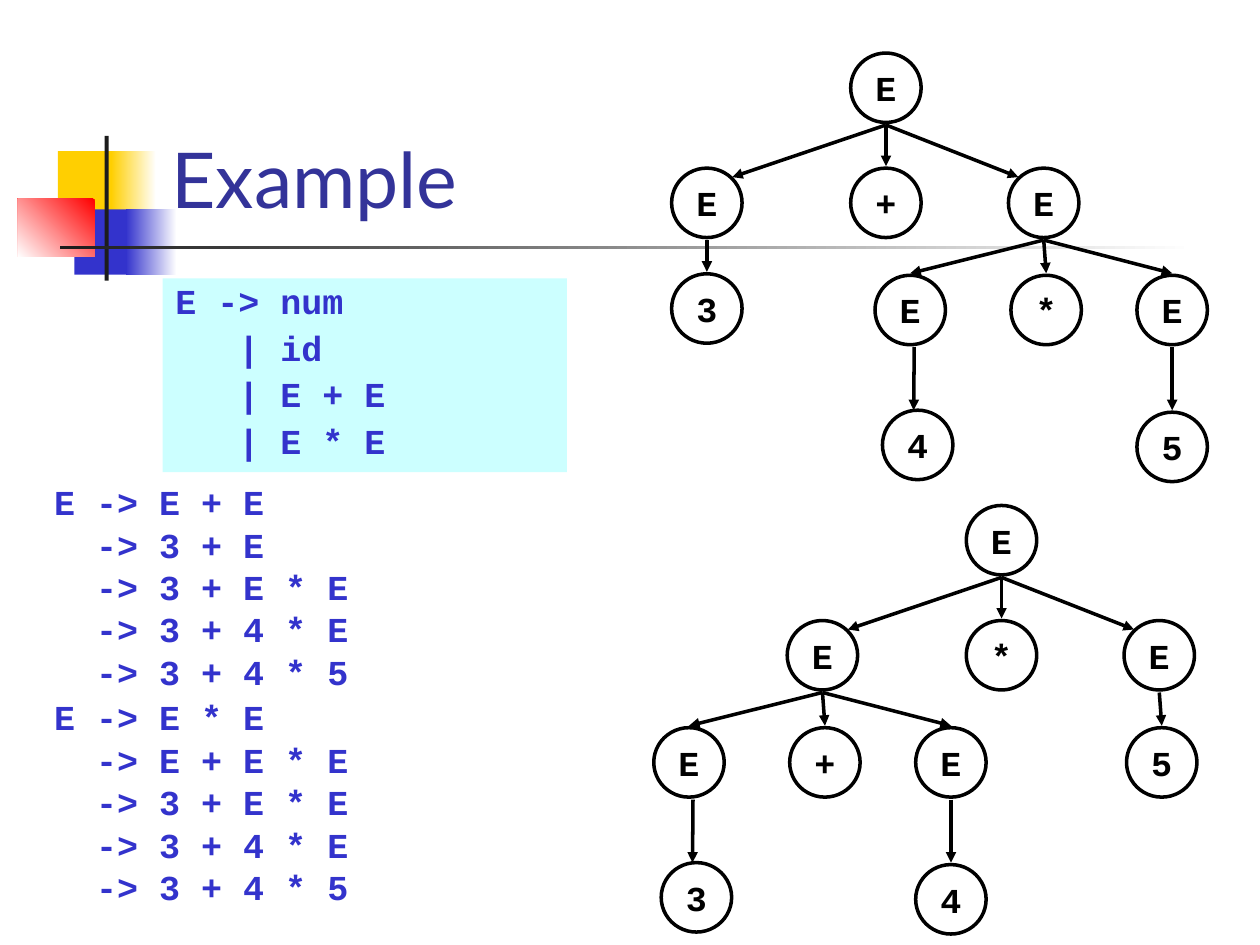
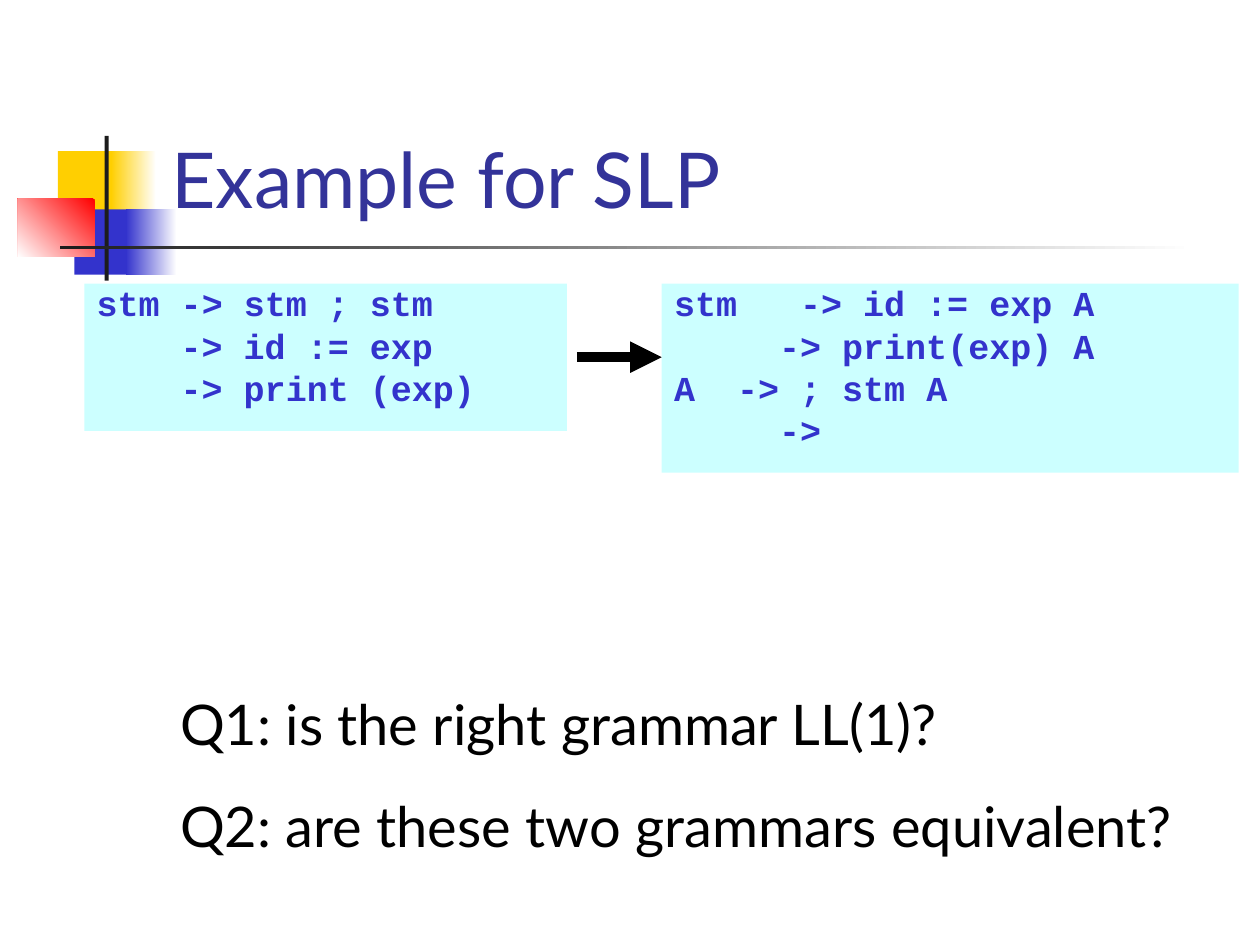
from dataclasses import dataclass

from lxml.etree import SubElement
from pptx import Presentation
from pptx.dml.color import RGBColor
from pptx.enum.shapes import MSO_CONNECTOR, MSO_SHAPE
from pptx.enum.text import MSO_ANCHOR, MSO_AUTO_SIZE, PP_ALIGN
from pptx.oxml.ns import qn
from pptx.util import Cm, Pt

COLOURS = {
    "white": "FFFFFF",
    "black": "000000",
    "yellow": "FFCF01",
    "blue": "3333CC",
    "red": "FF0000",
    "bar": "1C1C1C",
    "title": "333399",
    "panel": "CCFFFF",
}
TEXT_FONT = "Lato"
CODE_FONT = "Courier New"
CODE_SIZE = 20
CODE_COLUMN = CODE_SIZE * 0.6  # width of one character in points

# Tree geometry in centimetres
NODE_WIDTH = 1.42
NODE_HEIGHT = 1.4
NODE_GAP = 0.05


@dataclass(frozen=True)
class Area:
    left: float
    top: float
    width: float
    height: float

    def lengths(self) -> tuple:
        return Cm(self.left), Cm(self.top), Cm(self.width), Cm(self.height)


@dataclass(frozen=True)
class Decoration:
    area: Area
    colours: tuple
    angle: int = 180


@dataclass(frozen=True)
class CodeLine:
    text: str
    column: int = 0


@dataclass(frozen=True)
class Node:
    """A tree node, placed from its parent; the tip is set from its top centre."""
    label: str
    right: float = 0
    down: float = 0
    children: tuple = ()
    tip: tuple = (0, -0.04)
    tail: float = 0


DECORATIONS = (
    Decoration(Area(1.17, 3.05, 1.22, 1.32), ("yellow",)),
    Decoration(Area(2.24, 3.05, 0.91, 1.32), ("white", "yellow")),
    Decoration(Area(1.5, 4.22, 1.17, 1.32), ("blue",)),
    Decoration(Area(2.54, 4.22, 1.02, 1.32), ("white", "blue")),
    Decoration(Area(0.36, 4.01, 1.55, 1.17), ("red", "white"), 225),
    Decoration(Area(2.11, 2.74, 0.08, 2.92), ("bar",)),
    Decoration(Area(1.22, 4.95, 22.86, 0.08), ("white", "bar")),
)
TITLE_AREA = Area(3.2, 0.58, 21.64, 4.06)


def rgb(name: str) -> RGBColor:
    return RGBColor.from_string(COLOURS[name])


# Shared parts
def add_decorations(deck, page) -> None:
    """Draw the corner blocks and bars, and place them on the slide master."""
    tree = deck.slide_master.element.cSld.spTree
    for number, decoration in enumerate(DECORATIONS):
        block = page.shapes.add_shape(MSO_SHAPE.RECTANGLE, *decoration.area.lengths())
        block.shadow.inherit = False
        block.line.fill.background()
        if len(decoration.colours) == 1:
            block.fill.solid()
            block.fill.fore_color.rgb = rgb(decoration.colours[0])
        else:
            block.fill.gradient()
            block.fill.gradient_angle = decoration.angle
            for stop, colour in zip(block.fill.gradient_stops, decoration.colours):
                stop.color.rgb = rgb(colour)
        block.element.nvSpPr.cNvPr.set("id", str(100 + number))
        tree.insert(2 + number, block.element)


def place(shape, area: Area) -> None:
    shape.left, shape.top, shape.width, shape.height = area.lengths()


def add_span(para, text: str, font: str, size: int, colour: str, bold: bool = False) -> None:
    span = para.add_run()
    span.text = text
    span.font.name = font
    span.font.size = Pt(size)
    span.font.bold = bold
    span.font.color.rgb = rgb(colour)


def get_paragraph(frame, index: int):
    return frame.add_paragraph() if index else frame.paragraphs[0]


def set_title(page, text: str) -> None:
    title = page.shapes.title
    place(title, TITLE_AREA)
    frame = title.text_frame
    frame.auto_size = MSO_AUTO_SIZE.NONE
    frame.vertical_anchor = MSO_ANCHOR.BOTTOM
    para = frame.paragraphs[0]
    para.alignment = PP_ALIGN.LEFT
    add_span(para, text, TEXT_FONT, 44, "title")


def fill_code(box, lines: tuple, spacing: float = 0.8, tab_column: int = 0) -> None:
    """Write code lines, each starting at its own character column."""
    frame = box.text_frame
    frame.word_wrap = True
    frame.auto_size = MSO_AUTO_SIZE.NONE
    frame.vertical_anchor = MSO_ANCHOR.TOP
    for index, line in enumerate(lines):
        para = get_paragraph(frame, index)
        para.alignment = PP_ALIGN.LEFT
        para.line_spacing = spacing
        para.space_before = Pt(5)
        properties = para._p.get_or_add_pPr()
        properties.set("marL", str(Pt(line.column * CODE_COLUMN)))
        properties.set("indent", "0")
        SubElement(properties, qn("a:buNone"))
        if tab_column:
            tabs = SubElement(properties, qn("a:tabLst"))
            SubElement(tabs, qn("a:tab"), pos=str(Pt(tab_column * CODE_COLUMN)), algn="l")
        add_span(para, line.text, CODE_FONT, CODE_SIZE, "blue", True)


def fill_panel(box) -> None:
    box.fill.solid()
    box.fill.fore_color.rgb = rgb("panel")


def add_arrow(page, start: tuple, end: tuple, width: float = 2) -> None:
    points = (Cm(value) for value in start + end)
    arrow = page.shapes.add_connector(MSO_CONNECTOR.STRAIGHT, *points)
    arrow.line.width = Pt(width)
    arrow.line.color.rgb = rgb("black")
    SubElement(arrow.line._get_or_add_ln(), qn("a:tailEnd"), type="triangle")
    SubElement(arrow.element.spPr, qn("a:effectLst"))


# Parse trees
def add_node(page, label: str, left: float, top: float) -> None:
    area = Area(left, top, NODE_WIDTH, NODE_HEIGHT)
    circle = page.shapes.add_shape(MSO_SHAPE.OVAL, *area.lengths())
    circle.shadow.inherit = False
    circle.fill.background()
    circle.line.color.rgb = rgb("black")
    circle.line.width = Pt(2)
    frame = circle.text_frame
    frame.word_wrap = False
    frame.vertical_anchor = MSO_ANCHOR.MIDDLE
    para = frame.paragraphs[0]
    para.alignment = PP_ALIGN.CENTER
    para.space_before = Pt(12.5)
    add_span(para, label, CODE_FONT, CODE_SIZE, "black", True)


def add_tree(page, node: Node, left: float, top: float) -> None:
    add_node(page, node.label, left, top)
    centre = left + NODE_WIDTH / 2
    for child in node.children:
        child_left, child_top = left + child.right, top + child.down
        start = (centre + child.tail, top + NODE_HEIGHT + NODE_GAP)
        end = (child_left + NODE_WIDTH / 2 + child.tip[0], child_top + child.tip[1])
        add_arrow(page, start, end)
        add_tree(page, child, child_left, child_top)


def wide_fan(operator: str, left_children: tuple, right_children: tuple) -> Node:
    return Node("E", children=(
        Node("E", -3.61, 2.32, left_children, tip=(0.51, 0.18)),
        Node(operator, 0, 2.32),
        Node("E", 3.18, 2.32, right_children, tip=(-0.51, 0.18)),
    ))


def narrow_fan(left_number: str, operator: str, right_number: str) -> tuple:
    left_leaf = Node(left_number, 0.15, 2.72, tip=(-0.08, 0), tail=0.08)
    return (
        Node("E", -2.69, 2.16, (left_leaf,)),
        Node(operator, 0.05, 2.16),
        Node("E", 2.59, 2.16, (Node(right_number, 0, 2.76),)),
    )


# Slides
def build_example(page) -> None:
    set_title(page, "Example")
    grammar = page.placeholders[1]
    place(grammar, Area(3.28, 5.61, 8.15, 3.91))
    fill_panel(grammar)
    fill_code(grammar, (
        CodeLine("E -> num"),
        CodeLine("| id", 3),
        CodeLine("| E + E", 3),
        CodeLine("| E * E", 3),
    ), spacing=0.9)

    derivations = (
        ("E + E", "3 + E", "3 + E * E", "3 + 4 * E", "3 + 4 * 5"),
        ("E * E", "E + E * E", "3 + E * E", "3 + 4 * E", "3 + 4 * 5"),
    )
    for index, (first, *steps) in enumerate(derivations):
        area = Area(0.84, 9.73 + index * 4.34, 18.42, 4.55)
        box = page.shapes.add_textbox(*area.lengths())
        later = (CodeLine(f"-> {step}", 2) for step in steps)
        fill_code(box, (CodeLine(f"E -> {first}"), *later))

    sum_tree = wide_fan("+", (Node("3", 0, 2.13),), narrow_fan("4", "*", "5"))
    product_tree = wide_fan("*", narrow_fan("3", "+", "4"), (Node("5", 0.05, 2.16),))
    add_tree(page, sum_tree, 17.15, 1.07)
    add_tree(page, product_tree, 19.48, 10.19)


def build_slp_example(page) -> None:
    set_title(page, "Example for SLP")

    # Grammar before and after the rewrite
    before = page.shapes.add_textbox(*Area(1.7, 5.72, 9.73, 2.97).lengths())
    fill_panel(before)
    fill_code(before, (
        CodeLine("stm -> stm ; stm"),
        CodeLine("-> id := exp", 4),
        CodeLine("-> print (exp)", 4),
    ))
    after = page.shapes.add_textbox(*Area(13.34, 5.72, 11.63, 3.81).lengths())
    fill_panel(after)
    fill_code(after, (
        CodeLine("stm\t-> id := exp A"),
        CodeLine("-> print(exp) A", 5),
        CodeLine("A\t-> ; stm A"),
        CodeLine("->", 5),
    ), tab_column=5)
    add_arrow(page, (11.63, 7.2), (13.34, 7.2), 6)

    # Questions
    questions = page.shapes.add_textbox(*Area(3.38, 13.77, 20.75, 5.03).lengths())
    questions.text_frame.word_wrap = True
    for index, question in enumerate((
        "Q1: is the right grammar LL(1)?",
        "Q2: are these two grammars equivalent?",
    )):
        para = get_paragraph(questions.text_frame, index)
        para.space_before = Pt(20)
        add_span(para, question, TEXT_FONT, 32, "black")


def main() -> None:
    deck = Presentation()
    deck.slide_width, deck.slide_height = Cm(25.4), Cm(19.05)
    example = deck.slides.add_slide(deck.slide_layouts[1])
    add_decorations(deck, example)
    build_example(example)
    build_slp_example(deck.slides.add_slide(deck.slide_layouts[5]))
    deck.save("out.pptx")


if __name__ == "__main__":
    main()
